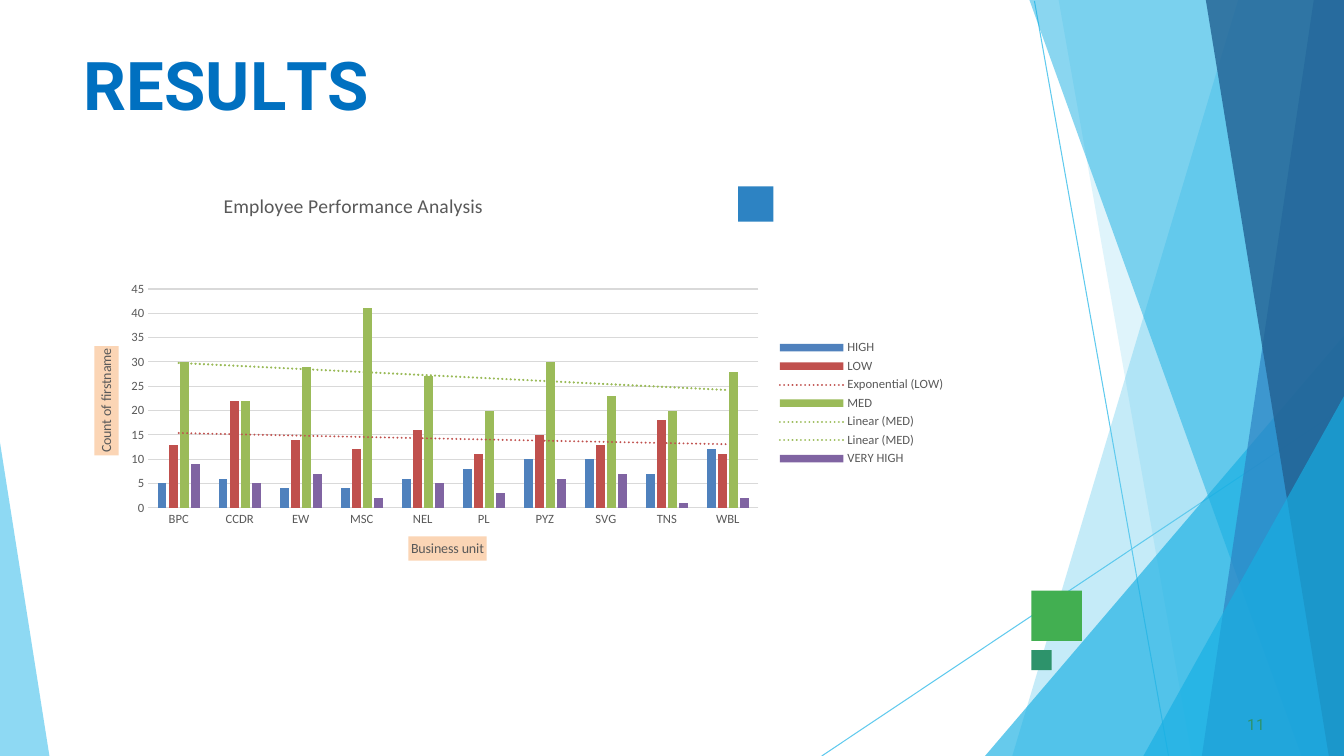
from lxml import etree
from pptx import Presentation
from pptx import util as u
from pptx.chart.data import CategoryChartData
from pptx.dml.color import RGBColor
from pptx.enum import chart as ch, dml, shapes, text
from pptx.oxml import parse_xml
from pptx.oxml.ns import nsdecls, qn
from pptx.util import Inches

WIDTH, HEIGHT = 13.33, 7.5
COLORS = {
    "sky": "5FCAEE", "cyan": "17AFE3", "blue": "2D83C3", "navy": "226192",
    "green": "42AF51", "teal": "2D936B", "title": "0070C0",
    "gray": "595959", "grid": "D9D9D9", "peach": "FBD5B5",
    "high": "4F81BD", "low": "C0504D", "med": "9BBB59", "very_high": "8064A2",
}
UNITS = ["BPC", "CCDR", "EW", "MSC", "NEL", "PL", "PYZ", "SVG", "TNS", "WBL"]
RATINGS = [
    ("HIGH", "high", [5, 6, 4, 4, 6, 8, 10, 10, 7, 12], []),
    ("LOW", "low", [13, 22, 14, 12, 16, 11, 15, 13, 18, 11], ["exp"]),
    ("MED", "med", [30, 22, 29, 41, 27, 20, 30, 23, 20, 28], ["linear", "linear"]),
    ("VERY HIGH", "very_high", [9, 5, 7, 2, 5, 3, 6, 7, 1, 2], []),
]
FACETS = [
    (12.28, 0, 10.04, "sky", 36),
    (10.5, 0, 11.82, "sky", 20),
    (WIDTH, 3.33, 9.77, "cyan", 66),
    (10.21, 0, 12.91, "cyan", 50),
    (13.03, 0, 11.92, "blue", 70),
    (11.96, 0, 13.18, "navy", 80),
    (WIDTH, 3.93, 11.34, "cyan", 66),
]


def rgb(name):
    return RGBColor.from_string(COLORS[name])


def write(p, content, size, color, font="Calibri", bold=False, spacing=0):
    r = p.add_run()
    r.text = content
    r.font.size = u.Pt(size)
    r.font.name = font
    r.font.bold = bold
    r.font.color.rgb = rgb(color)
    if spacing:
        r._r.get_or_add_rPr().set("spc", str(round(spacing * 100)))


def paint(sp, color, alpha=100):
    sp.shadow.inherit = False
    sp.fill.solid()
    sp.fill.fore_color.rgb = rgb(color)
    sp.line.fill.background()
    if alpha < 100:
        clr = sp._element.spPr.find(".//" + qn("a:srgbClr"))
        etree.SubElement(clr, qn("a:alpha")).set("val", str(alpha * 1000))


def add_polygon(s, points, color, alpha):
    start, *rest = [(Inches(x), Inches(y)) for x, y in points]
    builder = s.shapes.build_freeform(*start)
    builder.add_line_segments(rest, close=True)
    paint(builder.convert_to_shape(), color, alpha)


def add_square(s, left, top, size, color):
    sp = s.shapes.add_shape(shapes.MSO_SHAPE.RECTANGLE, Inches(left), Inches(top),
                            Inches(size), Inches(size))
    paint(sp, color)


def add_line(s, *ends):
    line = s.shapes.add_connector(shapes.MSO_CONNECTOR.STRAIGHT, *map(Inches, ends))
    line.line.color.rgb = rgb("sky")
    line.line.width = u.Pt(0.75)
    etree.SubElement(line._element.spPr, qn("a:effectLst"))


def first_paragraph(sp, before):
    tf = sp.text_frame
    tf.margin_left = tf.margin_right = tf.margin_bottom = 0
    tf.margin_top = Inches(0.01)
    tf.vertical_anchor = text.MSO_ANCHOR.TOP
    tf.word_wrap = True
    tf.auto_size = text.MSO_AUTO_SIZE.SHAPE_TO_FIT_TEXT
    p = tf.paragraphs[0]
    p.alignment = text.PP_ALIGN.LEFT
    p.space_before = u.Pt(before)
    return p


def add_title(s):
    sp = s.shapes.title
    sp.left, sp.top, sp.width, sp.height = map(Inches, (0.83, 0.42, 3.39, 0.81))
    p = first_paragraph(sp, 1.1)
    for letters, spacing in [("R", 0), ("E", -0.4), ("S", 0.1), ("U", -0.3),
                             ("L", -4), ("TS", 0)]:
        write(p, letters, 48, "title", "Roboto", True, spacing)


def add_page_number(s):
    sp = s.shapes.add_textbox(*map(Inches, (12.33, 7.08, 0.25, 0.21)))
    p = first_paragraph(sp, 0.6)
    sp.text_frame.margin_left = Inches(0.04)
    write(p, "11", 11, "teal", "Roboto", spacing=0.1)


def place(element, x, y, w=None, h=None, inner=False):
    for old in element.findall(qn("c:layout")):
        element.remove(old)
    values = [("xMode", "edge"), ("yMode", "edge"), ("x", x), ("y", y)]
    if inner:
        values.insert(0, ("layoutTarget", "inner"))
    if w:
        values += [("w", w), ("h", h)]
    layout = parse_xml(f'<c:layout {nsdecls("c")}><c:manualLayout/></c:layout>')
    for tag, value in values:
        etree.SubElement(layout[0], qn("c:" + tag)).set("val", str(value))
    overlay = element.find(qn("c:overlay"))
    if overlay is None:
        element.insert(0, layout)
    else:
        overlay.addprevious(layout)


def add_trend(series, kind, color):
    series._element.find(qn("c:cat")).addprevious(parse_xml(
        f'<c:trendline {nsdecls("c", "a")}><c:spPr><a:ln w="19050" cap="rnd">'
        f'<a:solidFill><a:srgbClr val="{COLORS[color]}"/></a:solidFill>'
        f'<a:prstDash val="sysDot"/></a:ln></c:spPr>'
        f'<c:trendlineType val="{kind}"/><c:dispRSqr val="0"/>'
        f'<c:dispEq val="0"/></c:trendline>'))


def style_font(font, size=9):
    font.size = u.Pt(size)
    font.name = "Calibri"
    font.color.rgb = rgb("gray")


def style_axis(axis, title, x, y):
    axis.major_tick_mark = axis.minor_tick_mark = ch.XL_TICK_MARK.NONE
    style_font(axis.tick_labels.font)
    axis_title = axis.axis_title
    write(axis_title.text_frame.paragraphs[0], title, 10, "gray")
    axis_title.format.fill.solid()
    axis_title.format.fill.fore_color.rgb = rgb("peach")
    place(axis_title._element, x, y)


def add_performance_chart(s):
    data = CategoryChartData()
    data.categories = UNITS
    for name, _, values, _ in RATINGS:
        data.add_series(name, values)
    chart = s.shapes.add_chart(ch.XL_CHART_TYPE.COLUMN_CLUSTERED,
                               *map(Inches, (0.58, 1.64, 8.9, 4.72)), data).chart
    style_font(chart.font, 10)
    plot = chart.plots[0]
    plot.gap_width, plot.overlap, plot.vary_by_categories = 219, -27, False
    for series, (_, color, _, trends) in zip(plot.series, RATINGS):
        series.format.fill.solid()
        series.format.fill.fore_color.rgb = rgb(color)
        for kind in trends:
            add_trend(series, kind, color)

    chart.has_title = True
    write(chart.chart_title.text_frame.paragraphs[0],
          "Employee Performance Analysis", 14, "gray")
    place(chart.chart_title._element, 0.18, 0.05)
    place(chart._chartSpace.chart.plotArea, 0.1, 0.26, 0.68, 0.46, inner=True)

    style_axis(chart.category_axis, "Business unit", 0.39, 0.78)
    chart.category_axis.format.line.color.rgb = rgb("grid")
    chart.category_axis.format.line.width = u.Pt(0.75)
    axis = chart.value_axis
    style_axis(axis, "Count of firstname", 0.04, 0.38)
    axis.minimum_scale, axis.maximum_scale, axis.major_unit = 0, 45, 5
    axis.format.line.fill.background()
    axis.major_gridlines.format.line.color.rgb = rgb("grid")
    axis.major_gridlines.format.line.width = u.Pt(0.75)

    chart.has_legend = True
    chart.legend.position = ch.XL_LEGEND_POSITION.RIGHT
    chart.legend.include_in_layout = False
    style_font(chart.legend.font)
    place(chart.legend._element, 0.8, 0.36, 0.19, 0.28)


def main():
    prs = Presentation()
    prs.slide_width, prs.slide_height = Inches(WIDTH), Inches(HEIGHT)
    s = prs.slides.add_slide(prs.slide_layouts[5])
    add_line(s, 10.26, 0.01, 11.59, HEIGHT)
    add_line(s, WIDTH, 4.04, 8.15, HEIGHT)
    for x, y, foot, color, alpha in FACETS:
        corners = [(x, y), (foot, HEIGHT), (WIDTH, HEIGHT)]
        if x < WIDTH:
            corners.append((WIDTH, y))
        add_polygon(s, corners, color, alpha)
    add_polygon(s, [(0, 4.39), (0, HEIGHT), (0.49, HEIGHT)], "sky", 70)
    add_square(s, 10.23, 5.86, 0.5, "green")
    add_square(s, 7.32, 1.85, 0.35, "blue")
    add_square(s, 10.23, 6.45, 0.2, "teal")
    add_title(s)
    add_page_number(s)
    add_performance_chart(s)
    prs.save("out.pptx")


if __name__ == "__main__":
    main()
